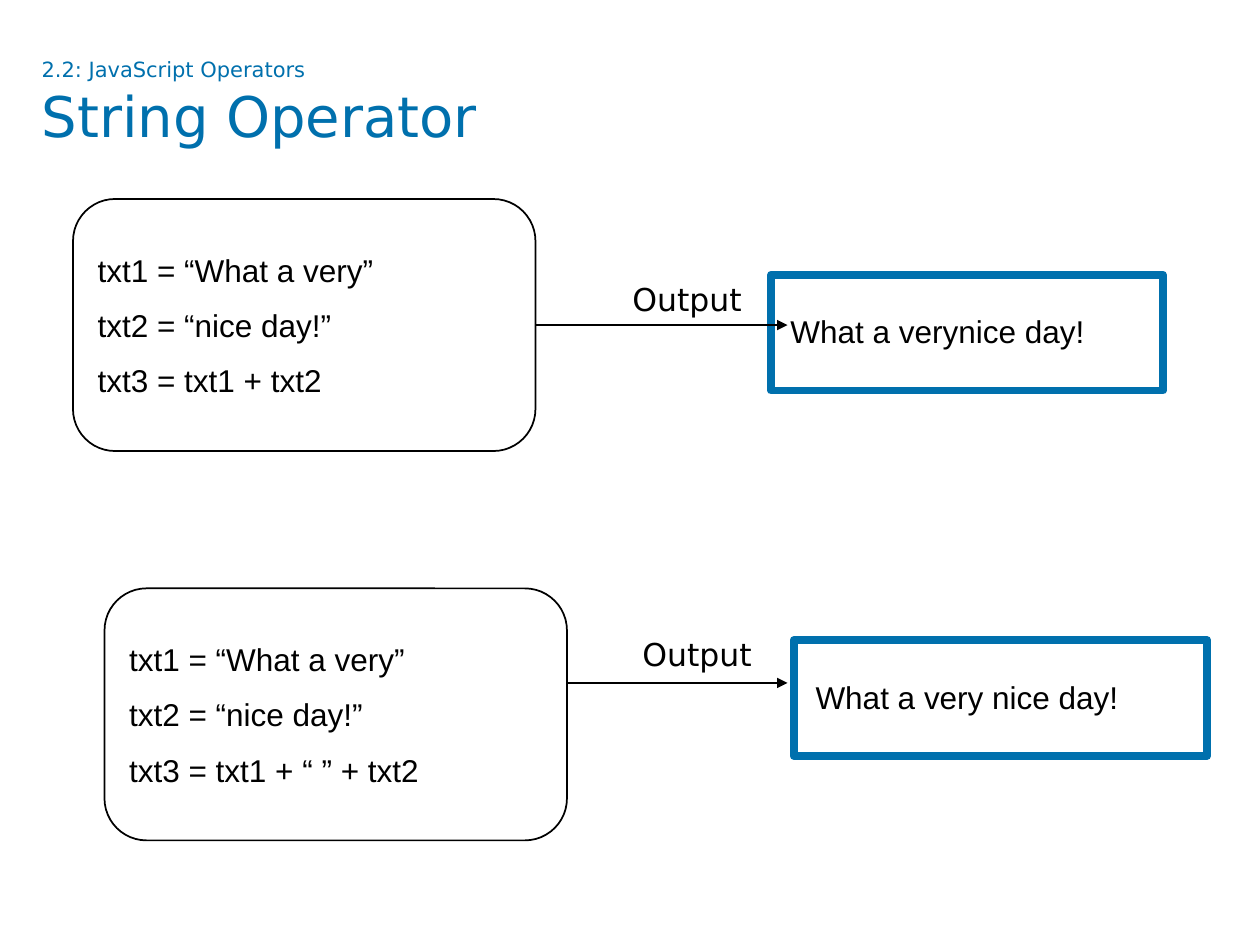
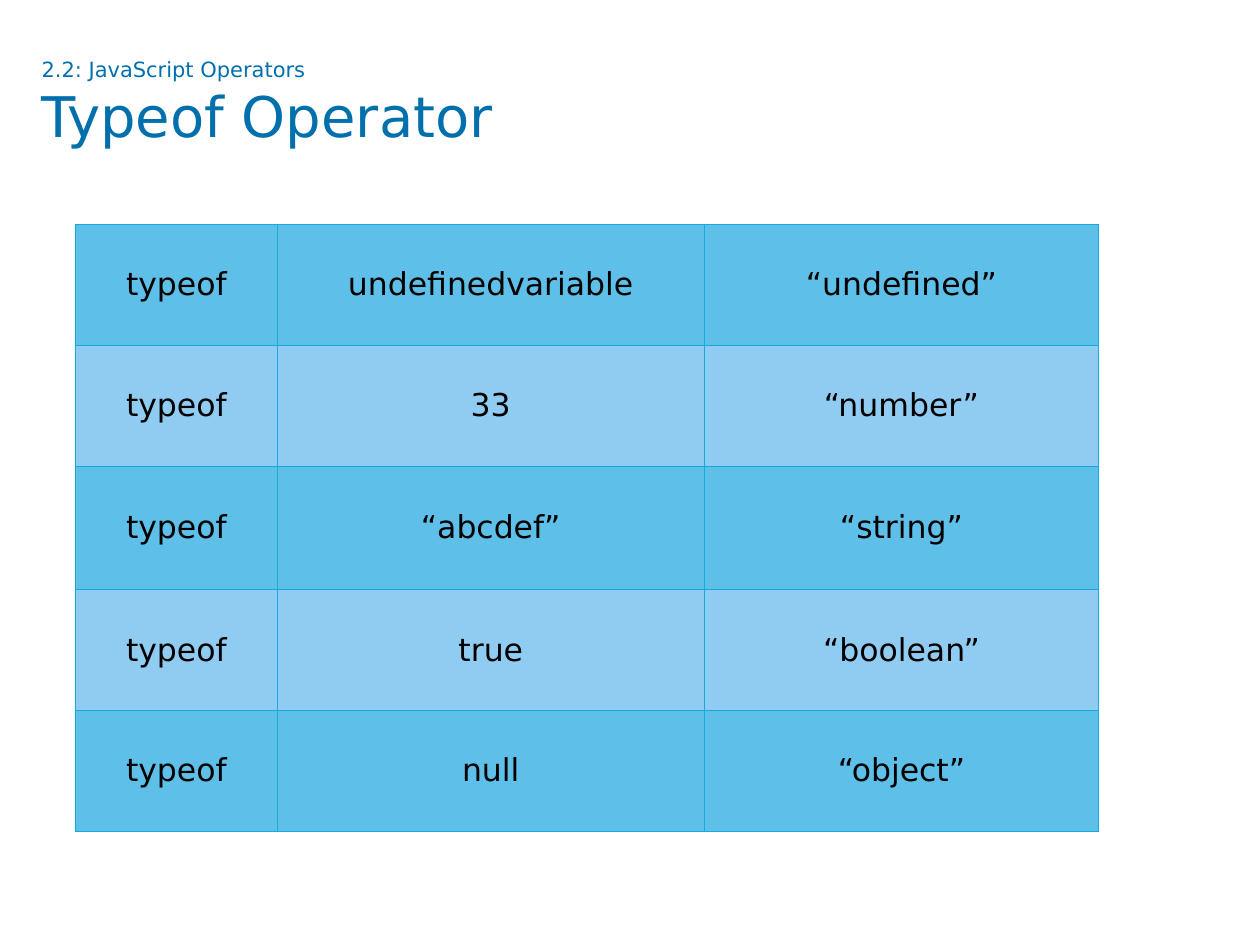
from lxml import etree
from pptx import Presentation
from pptx.dml.color import RGBColor
from pptx.enum import shapes, text
from pptx.oxml import parse_xml
from pptx.oxml.ns import nsdecls, qn
from pptx.util import Inches, Pt

# Content
SECTION = "2.2: JavaScript Operators "
EXAMPLES = [
    {
        "code": ["txt1 = “What a very”", "txt2 = “nice day!”", "txt3 = txt1 + txt2"],
        "code_at": (0.58, 1.58, 3.67, 2),
        "result": "What a verynice day!",
        "result_at": (6.16, 2.43, 2.56, 0.4),
        "frame_at": (6.12, 2.18, 3.11, 0.92),
        "label_at": (4.92, 2.17, 1.08, 0.4),
        "arrow_y": 2.58,
    },
    {
        "code": ["txt1 = “What a very”", "txt2 = “nice day!”", "txt3 = txt1 + “ ” + txt2"],
        "code_at": (0.83, 4.67, 3.67, 2),
        "result": "What a very nice day!",
        "result_at": (6.36, 5.33, 2.63, 0.4),
        "frame_at": (6.3, 5.08, 3.28, 0.92),
        "label_at": (5, 4.99, 1.08, 0.4),
        "arrow_y": 5.42,
    },
]
TYPEOF_RESULTS = [
    ("undefinedvariable", "“undefined”"),
    ("33", "“number”"),
    ("“abcdef”", "“string”"),
    ("true", "“boolean”"),
    ("null", "“object”"),
]

# Shared look
BLUE, BLACK, WHITE = "0070AD", "000000", "FFFFFF"
GRID_LINE, BANDS = "12ABDB", ("5EBFE8", "90CCF1")
SANS, ARIAL = "DejaVu Sans", "Arial"
ARROW_END = 6.25
COLUMN_WIDTHS = (1.6, 3.39, 3.13)
ROW_HEIGHTS = (0.96, 0.96, 0.98, 0.96, 0.96)


def rgb(value):
    return RGBColor.from_string(value)


def inches(box):
    return [Inches(length) for length in box]


def style_font(font, name, size=18, color=BLACK):
    for key, value in {"name": name, "size": Pt(size), "bold": False}.items():
        setattr(font, key, value)
    font.color.rgb = rgb(color)


def set_line(line, color, width):
    line.color.rgb = rgb(color)
    line.width = Pt(width)


def write(frame, lines, font_name, align=text.PP_ALIGN.LEFT, gap=10):
    for index, line in enumerate(lines):
        paragraph = frame.paragraphs[0] if index == 0 else frame.add_paragraph()
        paragraph.alignment = align
        if index:
            paragraph.space_before = Pt(gap)
        run = paragraph.add_run()
        run.text = line
        style_font(run.font, font_name)


def add_titled_slide(deck, heading):
    slide = deck.slides.add_slide(deck.slide_layouts[5])
    title = slide.shapes.title
    title.left, title.top, title.width, title.height = inches((0.33, 0.45, 9.33, 0.94))
    frame = title.text_frame
    settings = {"margin_left": 0, "margin_top": 0, "margin_right": 0, "margin_bottom": 0,
                "word_wrap": True, "auto_size": text.MSO_AUTO_SIZE.NONE,
                "vertical_anchor": text.MSO_ANCHOR.TOP}
    for key, value in settings.items():
        setattr(frame, key, value)
    paragraph = frame.paragraphs[0]
    paragraph.alignment = text.PP_ALIGN.LEFT
    for words, size in ((SECTION, 12), (heading, 32)):
        run = paragraph.add_run()
        run.text = words
        style_font(run.font, SANS, size, BLUE)
        if words == SECTION:
            paragraph.add_line_break()
            # The break takes the size of the section line
            line_break = paragraph._p.find(qn("a:br"))
            etree.SubElement(line_break, qn("a:rPr"), sz="1200")
    return slide


def add_box(slide, kind, box, line_color, line_width, fill=None):
    shape = slide.shapes.add_shape(kind, *inches(box))
    shape.shadow.inherit = False
    set_line(shape.line, line_color, line_width)
    if fill:
        shape.fill.solid()
        shape.fill.fore_color.rgb = rgb(fill)
    else:
        shape.fill.background()
    return shape


def add_label(slide, words, box, font_name, align, wrap):
    label = slide.shapes.add_textbox(*inches(box))
    label.text_frame.word_wrap = wrap
    write(label.text_frame, [words], font_name, align)


def add_arrow(slide, start, end, y):
    arrow = slide.shapes.add_connector(shapes.MSO_CONNECTOR.STRAIGHT, *inches((start, y, end, y)))
    set_line(arrow.line, BLACK, 0.75)
    etree.SubElement(arrow.line._get_or_add_ln(), qn("a:tailEnd"), type="triangle")
    etree.SubElement(arrow._element.spPr, qn("a:effectLst"))


def add_example(slide, example):
    code = add_box(slide, shapes.MSO_SHAPE.ROUNDED_RECTANGLE, example["code_at"], BLACK, 1, WHITE)
    code.text_frame.word_wrap = False
    code.text_frame.vertical_anchor = text.MSO_ANCHOR.MIDDLE
    write(code.text_frame, example["code"], ARIAL)

    add_label(slide, example["result"], example["result_at"], ARIAL, text.PP_ALIGN.CENTER, False)
    add_box(slide, shapes.MSO_SHAPE.RECTANGLE, example["frame_at"], BLUE, 4.5)

    left, _, width, _ = example["code_at"]
    add_arrow(slide, left + width, ARROW_END, example["arrow_y"])
    add_label(slide, "Output", example["label_at"], SANS, text.PP_ALIGN.LEFT, True)


def add_cell_borders(cell):
    properties = cell._tc.get_or_add_tcPr()
    for side in "LRTB":
        properties.append(parse_xml(
            f'<a:ln{side} w="{Pt(0.5)}" {nsdecls("a")}><a:solidFill>'
            f'<a:srgbClr val="{GRID_LINE}"/></a:solidFill></a:ln{side}>'))


def add_typeof_table(slide):
    table = slide.shapes.add_table(
        len(TYPEOF_RESULTS), len(COLUMN_WIDTHS),
        *inches((0.6, 1.78, sum(COLUMN_WIDTHS), sum(ROW_HEIGHTS)))).table
    table.first_row = table.horz_banding = False
    for column, width in zip(table.columns, COLUMN_WIDTHS):
        column.width = Inches(width)
    for row, (height, result) in enumerate(zip(ROW_HEIGHTS, TYPEOF_RESULTS)):
        table.rows[row].height = Inches(height)
        for column, words in enumerate(("typeof", *result)):
            cell = table.cell(row, column)
            add_cell_borders(cell)
            cell.fill.solid()
            cell.fill.fore_color.rgb = rgb(BANDS[row % 2])
            cell.vertical_anchor = text.MSO_ANCHOR.MIDDLE
            write(cell.text_frame, [words], SANS, text.PP_ALIGN.CENTER)


def main():
    deck = Presentation()
    deck.slide_width, deck.slide_height = Inches(10), Inches(7.5)

    # String concatenation examples
    string_slide = add_titled_slide(deck, "String Operator")
    for example in EXAMPLES:
        add_example(string_slide, example)

    # Results of typeof
    add_typeof_table(add_titled_slide(deck, "Typeof Operator"))

    deck.save("out.pptx")


if __name__ == "__main__":
    main()
